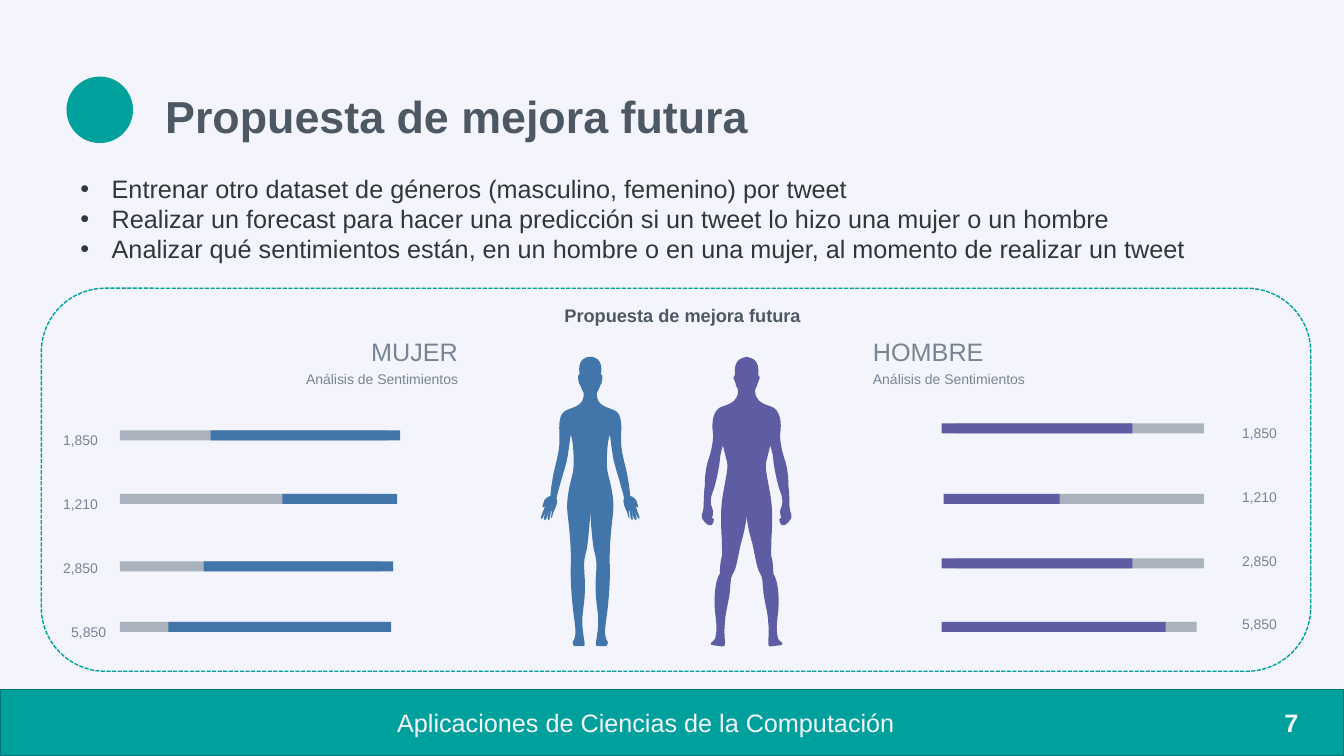
from pptx import Presentation
from pptx.dml.color import RGBColor
from pptx.enum.dml import MSO_LINE
from pptx.enum.shapes import MSO_SHAPE as Kind
from pptx.enum.text import MSO_AUTO_SIZE as Auto, PP_ALIGN as Align
from pptx.oxml.ns import qn
from pptx.util import Inches, Pt
from lxml import etree

CELL = Inches(0.01)  # the slide is a grid of 1333 by 750 cells
COLS, ROWS = 1333, 750
PALE = RGBColor(0xF4, 0xF5, 0xFC)
TEAL = RGBColor(0x00, 0xA0, 0x9D)
DEEP = RGBColor(0x00, 0x76, 0x74)
SLATE = RGBColor(0x4E, 0x58, 0x65)
INK = RGBColor(0x33, 0x36, 0x39)
MUTED = RGBColor(0x77, 0x84, 0x96)
TRACK = RGBColor(0xAA, 0xB2, 0xBD)
BLUE = RGBColor(0x42, 0x76, 0xAA)
PURPLE = RGBColor(0x5E, 0x5C, 0xA2)

TITLE = "Propuesta de mejora futura"
POINTS = [
    "Entrenar otro dataset de géneros (masculino, femenino) por tweet",
    "Realizar un forecast para hacer una predicción si un tweet lo hizo una mujer o un hombre",
    "Analizar qué sentimientos están, en un hombre o en una mujer, al momento de realizar un tweet",
]
COUNTS = ["1,850", "1,210", "2,850", "5,850"]

# Right half of each body: a start point, then three points per Bézier curve,
# in cells from the top of the body's axis.
WOMAN = """11,17
14,19 12,23 12,25  12,27 11,27 11,27  10,30 7,36 7,36  6,50 20,50 26,54
33,59 31,72 31,83  31,93 34,103 37,116  39,127 40,135 40,138
41,138 43,139 46,142  47,145 47,146 48,148  49,149 47,151 45,147
49,158 49,158 49,158  49,158 50,160 49,161  47,161 45,152 44,152
44,152 48,162 46,162  43,163 42,152 42,152  41,153 44,162 42,162
40,163 40,152 39,152  38,152 40,160 39,160  38,160 38,155 36,152
35,150 32,143 34,140  32,131 26,112 24,104  22,95 20,77 20,77
17,83 16,109 18,116  20,124 25,141 23,156  21,172 19,193 20,211
20,230 18,249 16,263  14,277 16,280 18,283  19,285 16,287 16,287
16,287 11,287 8,287  5,287 6,285 7,278  8,270 9,265 8,255
7,246 5,234 6,219  7,205 7,202 4,191  2,180 0,149 0,149
0,0 0,0 0,0  15,0 11,17 11,17"""
MAN = """0,0
0,156 0,156 0,156  0,156 2,171 5,181  8,190 10,210 14,215  17,220 16,224 17,231
17,238 22,255 22,264  23,273 22,280 22,283  22,287 22,288 27,287
31,286 37,287 36,284  35,282 31,282 31,276  30,270 30,268 32,251
33,234 31,221 27,215  27,215 27,207 26,202  24,196 25,194 25,185
25,177 27,161 25,144  23,127 18,111 20,104  22,96 24,88 24,88
24,88 27,97 27,102  27,106 31,127 34,134  37,141 36,147 35,149
34,151 33,154 34,157  35,159 35,160 35,160  35,160 34,159 33,161
33,162 33,165 35,167  37,168 39,167 42,164  44,161 45,161 45,157
44,154 43,151 43,148  43,145 43,136 42,128  42,120 41,109 38,101
35,92 33,81 34,74  35,68 35,52 24,49  14,46 9,42 9,34
9,34 9,31 10,30  10,30 10,30 11,29  11,29 11,26 12,25
14,23 14,19 12,18  12,18 13,9 10,5  8,1 0,0 0,0"""


def cells(*nums):
    return [round(n * CELL) for n in nums]


def paint(shape, fill=None, line=None):
    shape.shadow.inherit = False
    if fill is None:
        shape.fill.background()
    else:
        shape.fill.solid()
        shape.fill.fore_color.rgb = fill
    if line is None:
        shape.line.fill.background()
    else:
        shape.line.color.rgb = line
        shape.line.width = Pt(1)
    return shape


def form(slide, kind, box, fill=None, line=None):
    return paint(slide.shapes.add_shape(kind, *cells(*box)), fill, line)


def mark(para):
    """Give the paragraph a hanging round bullet."""
    props = para._p.get_or_add_pPr()
    props.set("marL", str(Inches(0.31)))
    props.set("indent", str(-Inches(0.31)))
    etree.SubElement(props, qn("a:buFont")).set("typeface", "Arial")
    etree.SubElement(props, qn("a:buChar")).set("char", "•")


def write(slide, box, lines, sizes, color, bold=False, align=Align.LEFT,
          lead=None, wrap=True, bullet=False):
    """Add a text box; sizes holds one point size per line."""
    frame = slide.shapes.add_textbox(*cells(*box)).text_frame
    frame.word_wrap = wrap
    frame.auto_size = Auto.SHAPE_TO_FIT_TEXT
    for i, (line, size) in enumerate(zip(lines, sizes)):
        para = frame.add_paragraph() if i else frame.paragraphs[0]
        para.alignment = align
        if lead:
            para.line_spacing = lead
        if bullet:
            mark(para)
        run = para.add_run()
        run.text = line
        font = run.font
        font.name, font.size, font.bold = "Arial", Pt(size), bold
        font.color.rgb = color


def bend(shape):
    """Join each three straight steps of a freeform into one Bézier curve."""
    steps = list(shape._element.iter(qn("a:lnTo")))
    for i in range(0, len(steps), 3):
        curve = etree.Element(qn("a:cubicBezTo"))
        steps[i].addprevious(curve)
        for step in steps[i:i + 3]:
            curve.append(step[0])
            step.getparent().remove(step)


def body(slide, axis, top, outline, color):
    """Draw a figure as two mirrored halves that overlap by one cell."""
    pairs = [tuple(map(int, pair.split(","))) for pair in outline.split()]
    for way in (1, -1):
        points = [cells(axis + way * (x - 0.5), top + y) for x, y in pairs]
        pen = slide.shapes.build_freeform(*points[0], scale=1.0)
        pen.add_line_segments(points[1:], close=True)
        half = paint(pen.convert_to_shape(), color)
        bend(half)


def side(slide, left, top, name, head, label, bars, color, align):
    """Heading, counts and bars; label is left, top, widths.
    A bar is top, track left and width, fill left and width."""
    for low, start, length, begin, span in bars:
        for at, wide, tint in ((start, length, TRACK), (begin, span, color)):
            form(slide, Kind.RECTANGLE, (left + at, top + low, wide, 10), tint)
    x, y, widths = label
    for i, (count, width) in enumerate(zip(COUNTS, widths)):
        write(slide, (left + x, top + y + 63.4 * i, width, 27), [count], [10],
              MUTED, align=align)
    x, width = head
    write(slide, (left + x, top, width, 67), [name, "Análisis de Sentimientos"],
          [18, 10], MUTED, align=align, lead=1.2)


def header(slide, left, top):
    write(slide, (left + 88, top + 7, 603, 64), [TITLE], [32], SLATE,
          bold=True, wrap=False)
    form(slide, Kind.OVAL, (left, top, 66, 66), TEAL)


def footer(slide, top):
    form(slide, Kind.RECTANGLE, (0, top, COLS, ROWS - top), TEAL, DEEP)
    write(slide, (1264, top + 13, 53, 40), ["7"], [18], PALE, bold=True)
    write(slide, (384, top + 13, 518, 40),
          ["Aplicaciones de Ciencias de la Computación"], [18], PALE, wrap=False)


def panel(slide, left, top, width, height):
    body(slide, left + 699.5, top + 68, MAN, PURPLE)
    body(slide, left + 544.5, top + 68, WOMAN, BLUE)
    side(slide, left + 815, top + 37, "HOMBRE", (0, 290), (366, 93, [78, 78, 95, 78]),
         [(97, 91, 247, 78, 189), (167, 108, 230, 80, 115),
          (231, 91, 247, 78, 189), (294, 84, 247, 78, 222)], PURPLE, Align.LEFT)
    side(slide, left - 8, top + 37, "MUJER", (152, 279), (0, 100, [74, 74, 74, 82]),
         [(104, 86, 265, 176, 188), (167, 86, 246, 247, 114),
          (234, 86, 258, 169, 188), (294, 86, 263, 134, 221)], BLUE, Align.RIGHT)
    frame = form(slide, Kind.ROUNDED_RECTANGLE, (left, top, width, height), line=TEAL)
    frame.line.dash_style = MSO_LINE.SQUARE_DOT
    write(slide, (left + 509, top + 7, 469, 36), [TITLE], [13], SLATE,
          bold=True, lead=1.2)


def main():
    deck = Presentation()
    deck.slide_width, deck.slide_height = cells(COLS, ROWS)
    slide = deck.slides.add_slide(deck.slide_layouts[6])
    slide.background.fill.solid()
    slide.background.fill.fore_color.rgb = PALE
    header(slide, 66, 76)
    footer(slide, 684)
    write(slide, (70, 167, 1120, 101), POINTS, [18] * 3, INK,
          wrap=False, bullet=True)
    panel(slide, 41, 286, 1259, 380)
    deck.save("out.pptx")


if __name__ == "__main__":
    main()
